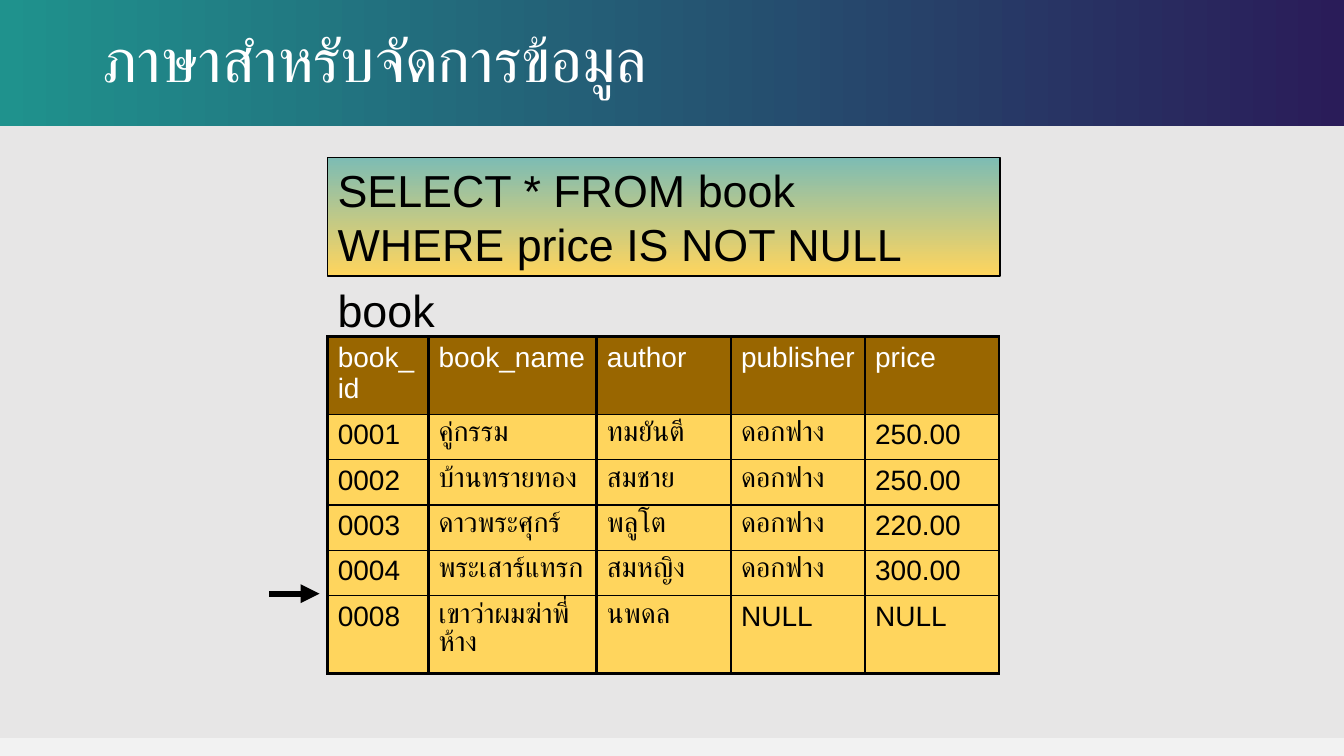
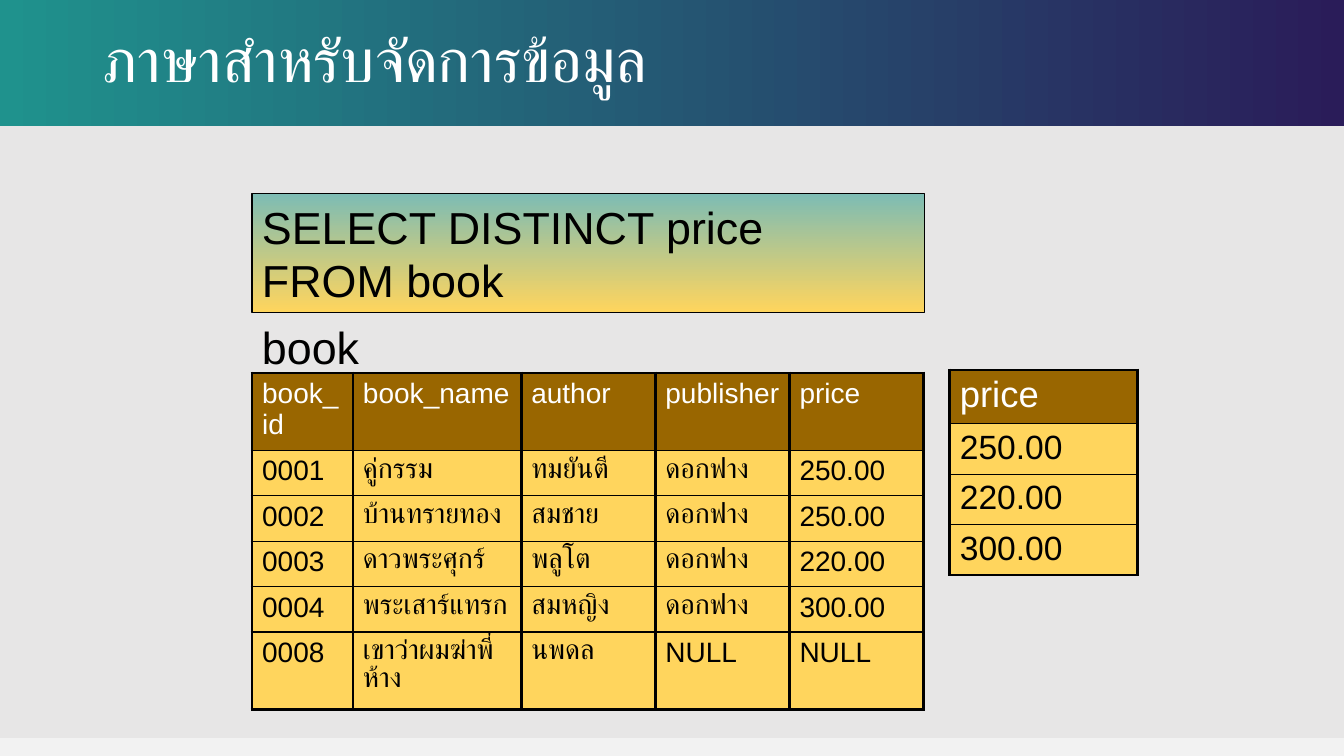
from lxml import etree
from pptx import Presentation, util as u
from pptx.dml.color import RGBColor
from pptx.enum import shapes, text
from pptx.oxml import ns

COLORS = {
    "page": "F2F2F2", "panel": "E7E6E6", "teal": "1F928D", "violet": "2A1C59",
    "mint": "7DBCB4", "yellow": "FFD55D", "brown": "996600",
    "black": "000000", "white": "FFFFFF",
}
TITLE = "ภาษาสำหรับจัดการข้อมูล"
BOOKS = [
    ["book_id", "book_name", "author", "publisher", "price"],
    ["0001", "คู่กรรม", "ทมยันตี", "ดอกฟาง", "250.00"],
    ["0002", "บ้านทรายทอง", "สมชาย", "ดอกฟาง", "250.00"],
    ["0003", "ดาวพระศุกร์", "พลูโต", "ดอกฟาง", "220.00"],
    ["0004", "พระเสาร์แทรก", "สมหญิง", "ดอกฟาง", "300.00"],
    ["0008", "เขาว่าผมฆ่าพี่ห้าง", "นพดล", "NULL", "NULL"],
]
BOOK_COLUMNS = [1, 1.67, 1.33, 1.33, 1.33]
BOOK_ROWS = [0.77] + [0.45] * 4 + [0.77]
PRICES = [["price"], ["250.00"], ["220.00"], ["300.00"]]
THIN, THICK = 1, 2.25


def rgb(name):
    """Return the named colour."""
    return RGBColor.from_string(COLORS[name])


def inches(*lengths):
    """Convert several lengths to inches."""
    return [u.Inches(length) for length in lengths]


def style_text(frame, size, color="black", font="Arial"):
    """Format every run of a text frame, aligned left."""
    for paragraph in frame.paragraphs:
        paragraph.alignment = text.PP_ALIGN.LEFT
        for run in paragraph.runs:
            run.font.name = font
            run.font.size = u.Pt(size)
            run.font.color.rgb = rgb(color)


def add_rect(slide, box, fills, angle=0):
    """Add a borderless rectangle with one colour or a gradient of two."""
    rect = slide.shapes.add_shape(shapes.MSO_SHAPE.RECTANGLE, *inches(*box))
    rect.shadow.inherit = False
    rect.line.fill.background()
    if len(fills) == 1:
        rect.fill.solid()
        rect.fill.fore_color.rgb = rgb(fills[0])
    else:
        rect.fill.gradient()
        rect.fill.gradient_angle = angle
        for stop, name, position in zip(rect.fill.gradient_stops, fills, (0, 1)):
            stop.color.rgb = rgb(name)
            stop.position = position
    return rect


def prepare_layout(prs, slide):
    """Give the slide's layout the shared background, band and title place."""
    prs.slide_master.background.fill.solid()
    prs.slide_master.background.fill.fore_color.rgb = rgb("page")
    layout = slide.slide_layout
    panel = add_rect(slide, (0, 0, 13.33, 7.32), ["panel"])
    band = add_rect(slide, (0, 0, 13.33, 1.25), ["teal", "violet"])
    for index, backdrop in enumerate((panel, band)):
        backdrop.element.nvSpPr.cNvPr.set("id", str(100 + index))
        layout.shapes.element.insert(2 + index, backdrop.element)
    title = layout.placeholders[0]
    title.left, title.top, title.width, title.height = inches(0.92, 0, 11.5, 1.25)


def add_title(slide):
    """Fill the title placeholder."""
    frame = slide.shapes.title.text_frame
    frame.text = TITLE
    frame.vertical_anchor = text.MSO_ANCHOR.MIDDLE
    frame.paragraphs[0].line_spacing = 0.9
    style_text(frame, 44, "white", "Calibri")


def add_query(slide, left, top, query):
    """Add the gradient box with an SQL query."""
    box = add_rect(slide, (left, top, 6.67, 1.18), ["mint", "yellow"], 270)
    box.line.color.rgb = rgb("black")
    box.line.width = u.Pt(1)
    box.text_frame.text = query
    box.text_frame.word_wrap = True
    style_text(box.text_frame, 32)


def add_caption(slide, left, top, caption):
    """Add the name above a table."""
    frame = slide.shapes.add_textbox(*inches(left, top, 1.33, 0.63)).text_frame
    frame.word_wrap = True
    frame.text = caption
    style_text(frame, 32)


def set_borders(cell, widths):
    """Draw black left, right, top and bottom borders of the given widths."""
    properties = cell._tc.get_or_add_tcPr()
    for index, (side, width) in enumerate(zip("LRTB", widths)):
        line = etree.Element(ns.qn(f"a:ln{side}"), w=str(u.Pt(width)))
        fill = etree.SubElement(line, ns.qn("a:solidFill"))
        etree.SubElement(fill, ns.qn("a:srgbClr"), val=COLORS["black"])
        properties.insert(index, line)


def add_grid(slide, left, top, rows, widths, heights, head_size, body_size):
    """Add a table with a brown header row and yellow body rows."""
    table = slide.shapes.add_table(
        len(rows), len(widths), *inches(left, top, sum(widths), sum(heights))).table
    for column, width in zip(table.columns, widths):
        column.width = u.Inches(width)
    for r, (values, height) in enumerate(zip(rows, heights)):
        table.rows[r].height = u.Inches(height)
        is_head, is_last = r == 0, r == len(rows) - 1
        for c, value in enumerate(values):
            cell = table.cell(r, c)
            cell.text = value
            cell.fill.solid()
            cell.fill.fore_color.rgb = rgb("brown" if is_head else "yellow")
            style_text(cell.text_frame, head_size if is_head else body_size,
                       "white" if is_head else "black")
            set_borders(cell, (THICK, THICK, THICK if is_head else THIN,
                               THICK if is_last else THIN))


def add_arrow(slide, start, end, y):
    """Add a thick horizontal arrow."""
    arrow = slide.shapes.add_connector(
        shapes.MSO_CONNECTOR.STRAIGHT, *inches(start, y, end, y))
    arrow.line.color.rgb = rgb("black")
    arrow.line.width = u.Pt(4.5)
    etree.SubElement(arrow.line._get_or_add_ln(), ns.qn("a:tailEnd"), type="triangle")
    etree.SubElement(arrow.element.spPr, ns.qn("a:effectLst"))


def add_book_example(slide, left, top, query):
    """Add the title, a query and the book table below it."""
    add_title(slide)
    add_caption(slide, left, top + 1.2, "book")
    add_grid(slide, left, top + 1.78, BOOKS, BOOK_COLUMNS, BOOK_ROWS, 20, 20)
    add_query(slide, left, top, query)


def main():
    """Build and save the presentation."""
    prs = Presentation()
    prs.slide_width, prs.slide_height = inches(13.33, 7.5)
    layout = prs.slide_layouts[5]
    not_null, distinct = [prs.slides.add_slide(layout) for _ in range(2)]
    prepare_layout(prs, not_null)

    add_book_example(not_null, 3.25, 1.56,
                     "SELECT * FROM book\nWHERE price IS NOT NULL")
    add_arrow(not_null, 2.67, 3.17, 5.89)

    add_book_example(distinct, 2.5, 1.92, "SELECT DISTINCT price\nFROM book")
    add_grid(distinct, 9.42, 3.67, PRICES, [1.86], [0.53] + [0.5] * 3, 26, 24)
    prs.save("out.pptx")


if __name__ == "__main__":
    main()
